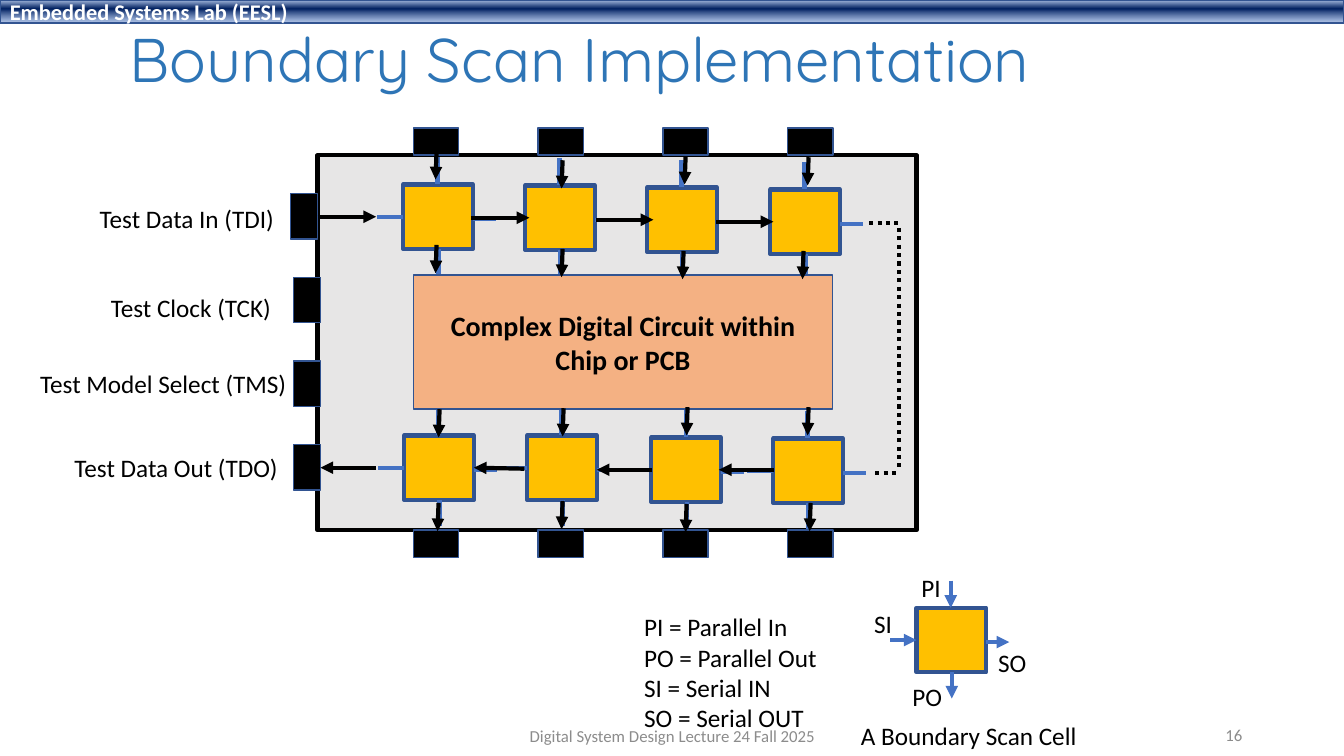
from lxml import etree
from pptx import Presentation
from pptx.dml.color import RGBColor
from pptx.enum.dml import MSO_LINE
from pptx.enum.shapes import MSO_CONNECTOR, MSO_SHAPE
from pptx.enum.text import MSO_ANCHOR, MSO_AUTO_SIZE, PP_ALIGN
from pptx.oxml import parse_xml
from pptx.oxml.ns import qn
from pptx.util import Inches, Pt

RECT = MSO_SHAPE.RECTANGLE
STRAIGHT = MSO_CONNECTOR.STRAIGHT
DOTTED = MSO_LINE.ROUND_DOT
TOP, MIDDLE = MSO_ANCHOR.TOP, MSO_ANCHOR.MIDDLE
FIT = MSO_AUTO_SIZE.SHAPE_TO_FIT_TEXT
LEFT, CENTER, RIGHT = PP_ALIGN.LEFT, PP_ALIGN.CENTER, PP_ALIGN.RIGHT

COLORS = {
    "black": "000000", "white": "FFFFFF", "title": "2E75B6", "muted": "8C8C8C",
    "chip": "E7E6E6", "cell": "FFC000", "core": "F4B183",
    "edge": "325491", "stub": "4472C4",
}
# Banner gradient: position %, colour, opacity %
BANNER_STOPS = [(2, "ABC0E4", 100), (38, "002060", 100), (93, "7E9ED6", 64)]

# Content
BANNER = "Embedded Systems Lab (EESL)"
TITLE = "Boundary Scan Implementation"
CORE = "Complex Digital Circuit within Chip or PCB"
FOOTER = "Digital System Design Lecture 24 Fall 2025"
PAGE = "16"
LEGEND = ["PI = Parallel In", "PO = Parallel Out", "SI = Serial IN", "SO = Serial OUT"]
LABELS = [  # text, box
    ("Test Data In (TDI)", (0.89, 1.97, 1.95, 0.4)),
    ("Test Clock (TCK)", (1, 2.85, 1.81, 0.4)),
    ("Test Model Select (TMS)", (0.3, 3.61, 2.67, 0.4)),
    ("Test Data Out (TDO)", (0.64, 4.44, 2.24, 0.4)),
    ("A Boundary Scan Cell", (8.44, 7.1, 2.37, 0.4)),
    ("PI", (9.04, 5.63, 0.39, 0.4)),
    ("PO", (8.95, 6.71, 0.5, 0.4)),
    ("SI", (8.57, 5.99, 0.38, 0.4)),
    ("SO", (9.8, 6.37, 0.48, 0.4)),
]

# Layout
CELL_W, CELL_H = 0.69, 0.64
PAD_W, PAD_H = 0.45, 0.27
PAD_LEFT, PAD_PITCH, PAD_ROWS = 4.1, 1.237, (1.27, 5.26)
SIDE_PADS = [(2.79, 2.01), (2.82, 2.84), (2.82, 3.67), (2.82, 4.5)]
INPUT_CELLS = [(4, 1.83), (5.21, 1.84), (6.42, 1.86), (7.64, 1.88)]
OUTPUT_CELLS = [(4.01, 4.32), (5.23, 4.32), (6.46, 4.34), (7.67, 4.35)]
SAMPLE_CELL = (9.09, 6.03)
CELL_STUBS = [  # offsets from the corner of a cell
    (0.34, -0.27, 0.34, 0), (0.35, CELL_H, 0.35, 0.9),
    (-0.26, 0.32, 0, 0.32), (CELL_W, 0.34, 0.92, 0.34),
]
SCAN_ARROWS = [
    (3.15, 2.15, 3.73, 2.15), (4.67, 2.16, 5.25, 2.16),
    (5.91, 2.18, 6.48, 2.18), (7.1, 2.2, 7.67, 2.2),
    (7.68, 4.66, 7.13, 4.66), (6.47, 4.66, 5.92, 4.66),
    (5.2, 4.65, 4.7, 4.64), (3.73, 4.64, 3.18, 4.64),
]
SCAN_RETURN = [(8.62, 2.21, 8.91, 2.21), (8.92, 2.26, 8.92, 4.63), (8.68, 4.69, 8.92, 4.69)]
DATA_ARROWS = [  # start points of each row, left to right
    [(4.33, 1.5), (5.58, 1.59), (6.8, 1.55), (8.02, 1.56)],
    [(4.33, 2.43), (5.58, 2.47), (6.78, 2.49), (7.97, 2.49)],
    [(4.36, 4.06), (5.59, 4.05), (6.82, 4.04), (8.02, 4.04)],
    [(4.35, 4.99), (5.58, 4.97), (6.81, 5), (8.04, 4.99)],
]
DATA_DX, DATA_DY = -0.01, 0.28

prs = Presentation()
prs.slide_width, prs.slide_height = Inches(13.33), Inches(7.5)
slide = prs.slides.add_slide(prs.slide_layouts[6])
shapes = slide.shapes


def rgb(name):
    return RGBColor.from_string(COLORS[name])


def write(box, lines, size=18, color="black", bold=False, font="Calibri",
          align=LEFT, anchor=TOP, wrap=True, spacing=None):
    frame = box.text_frame
    for key, value in {"word_wrap": wrap, "vertical_anchor": anchor}.items():
        setattr(frame, key, value)
    for i, line in enumerate(lines):
        para = frame.paragraphs[0] if i == 0 else frame.add_paragraph()
        para.alignment = align
        if spacing:
            para.line_spacing = spacing
        run = para.add_run()
        run.text = line
        for key, value in {"size": Pt(size), "bold": bold, "name": font}.items():
            setattr(run.font, key, value)
        run.font.color.rgb = rgb(color)
    return frame


def text(box, lines, **style):
    return write(shapes.add_textbox(*map(Inches, box)), lines, **style)


def rect(box, fill, edge="edge", width=1):
    shape = shapes.add_shape(RECT, *map(Inches, box))
    shape.shadow.inherit = False
    shape.fill.solid()
    shape.fill.fore_color.rgb = rgb(fill)
    shape.line.color.rgb = rgb(edge)
    shape.line.width = Pt(width)
    return shape


def line(ends, color="black", arrow=False, dash=None):
    link = shapes.add_connector(STRAIGHT, *map(Inches, ends))
    link.line.color.rgb = rgb(color)
    link.line.width = Pt(3)
    if dash:
        link.line.dash_style = dash
    props = link._element.spPr
    if arrow:
        etree.SubElement(props.find(qn("a:ln")), qn("a:tailEnd"), type="triangle")
    etree.SubElement(props, qn("a:effectLst"))


def scan_cell(x, y, arrow=False):
    rect((x, y, CELL_W, CELL_H), "cell", width=3)
    for x1, y1, x2, y2 in CELL_STUBS:
        line((x + x1, y + y1, x + x2, y + y2), "stub", arrow)


# Banner, with a three-stop gradient
banner = rect((0, 0, 13.33, 0.23), "white")
stops = "".join(
    f'<a:gs pos="{pos * 1000}"><a:srgbClr val="{color}">'
    f'<a:alpha val="{alpha * 1000}"/></a:srgbClr></a:gs>'
    for pos, color, alpha in BANNER_STOPS)
solid = banner._element.spPr.find(qn("a:solidFill"))
solid.getparent().replace(solid, parse_xml(
    '<a:gradFill xmlns:a="http://schemas.openxmlformats.org/drawingml/2006/main" '
    f'rotWithShape="1"><a:gsLst>{stops}</a:gsLst>'
    '<a:lin ang="5400000" scaled="0"/></a:gradFill>'))
write(banner, [BANNER], size=16, color="white", bold=True, anchor=MIDDLE)

# Title and page number
text((1.19, 0.12, 11.5, 1), [TITLE], size=44, color="title", font="Quicksand",
     anchor=MIDDLE, spacing=0.9)
text((9.42, 7.09, 3, 0.4), [PAGE], size=12, color="muted", align=RIGHT, anchor=MIDDLE)

# Chip and its pads
rect((3.15, 1.54, 5.94, 3.72), "chip", "black", 3)
for top in PAD_ROWS:
    for col in range(4):
        rect((PAD_LEFT + col * PAD_PITCH, top, PAD_W, PAD_H), "black")

# Boundary scan cells
for corner in INPUT_CELLS + OUTPUT_CELLS:
    scan_cell(*corner)

# Side pads and the scan path
for left, top in SIDE_PADS:
    rect((left, top, PAD_W, PAD_H), "black").rotation = 270
for ends in SCAN_ARROWS:
    line(ends, arrow=True)
for ends in SCAN_RETURN:
    line(ends, dash=DOTTED)

# Circuit under test
write(rect((4.1, 2.73, 4.16, 1.33), "core"), [CORE], size=20, bold=True,
      align=CENTER, anchor=MIDDLE)

# Sample cell, labels and legend
scan_cell(*SAMPLE_CELL, arrow=True)
for label, box in LABELS:
    text(box, [label], wrap=False).auto_size = FIT
text((6.29, 6.02, 2.21, 1.31), LEGEND).auto_size = FIT

# Parallel data arrows
for row in DATA_ARROWS:
    for x, y in row:
        line((x, y, x + DATA_DX, y + DATA_DY), arrow=True)

# Footer
text((4.42, 7.1, 4.5, 0.4), [FOOTER], size=12, color="muted", align=CENTER, anchor=MIDDLE)

prs.save("out.pptx")
